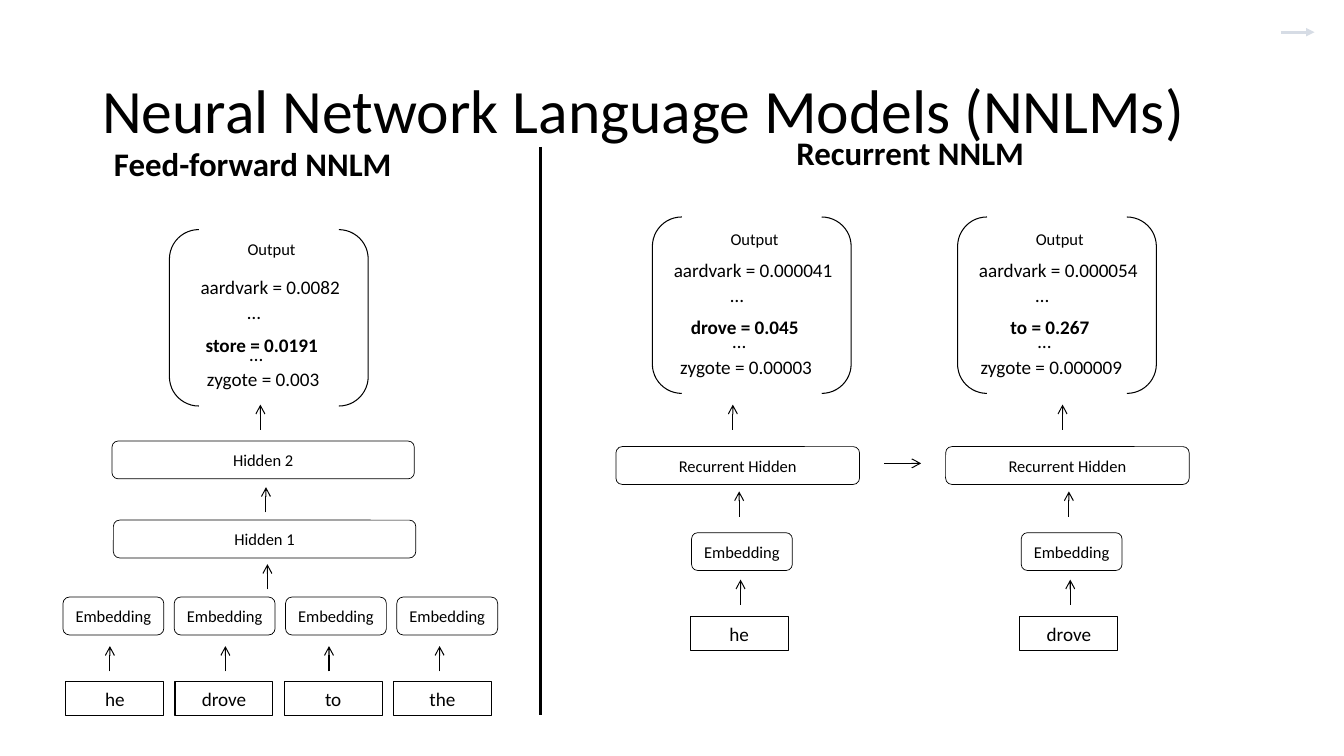
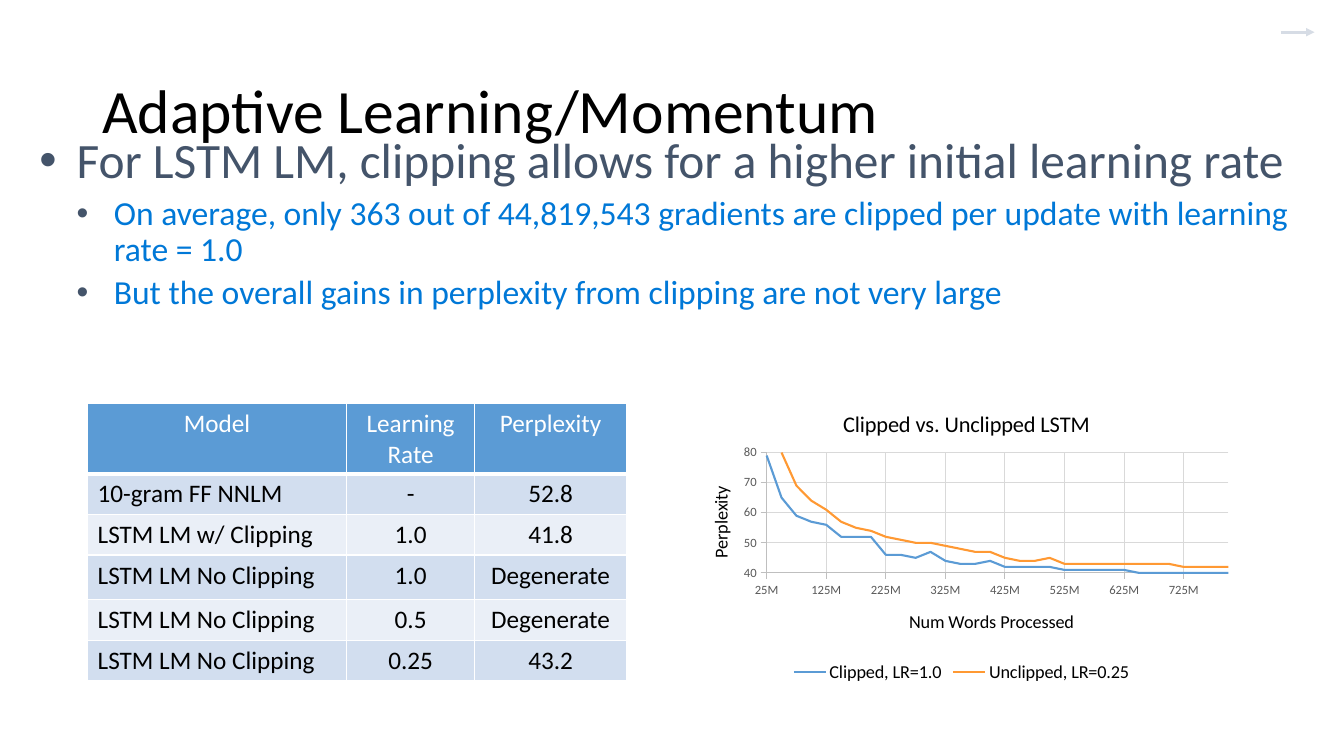
from lxml.etree import SubElement
from pptx import Presentation
from pptx.chart.data import XyChartData
from pptx.dml.color import RGBColor
from pptx.enum.chart import XL_CHART_TYPE, XL_LEGEND_POSITION, XL_MARKER_STYLE, XL_TICK_MARK
from pptx.enum.shapes import MSO_CONNECTOR, MSO_SHAPE
from pptx.enum.text import MSO_ANCHOR, PP_ALIGN
from pptx.oxml.ns import qn
from pptx.util import Pt

FONT = "Calibri"
BLACK, WHITE = "000000", "FFFFFF"
SLATE, BLUE, PALE = "44546A", "0078D7", "D6DCE5"
HEADER, BAND_DARK, BAND_LIGHT = "5B9BD5", "D2DEEF", "EAEFF7"
ORANGE, AXIS, GRID, TICK_TEXT = "FF9933", "BFBFBF", "D9D9D9", "595959"

FF_TOPS = (3, 29, 47, 70.5, 77, 94.5)
RNN_TOPS = (5, 26, 44, 67, 77, 95)
OUTPUT_CENTERS = (73, 72, 60.5, 66, 62, 67)

TABLE_ROWS = [
    ("Model", "Learning\vRate", "Perplexity"),
    ("10-gram FF NNLM", "-", "52.8"),
    ("LSTM LM w/ Clipping", "1.0", "41.8"),
    ("LSTM LM No Clipping", "1.0", "Degenerate"),
    ("LSTM LM No Clipping", "0.5", "Degenerate"),
    ("LSTM LM No Clipping", "0.25", "43.2"),
]
CLIPPED = [200, 79, 65, 59, 57, 56, 52, 52, 52, 46, 46, 45, 47, 44, 43, 43, 44,
           42, 42, 42, 42] + [41] * 5 + [40] * 14
UNCLIPPED = [200, 104, 80, 69, 64, 61, 57, 55, 54, 52, 51, 50, 50, 49, 48, 47, 47,
             45, 44, 44, 45] + [43] * 8 + [42] * 11


def rgb(value):
    return RGBColor.from_string(value)


def style_font(font, size, color=BLACK, bold=False):
    font.name = FONT
    font.size = Pt(size)
    font.bold = bold
    font.color.rgb = rgb(color)


def style_line(line, color, width):
    line.color.rgb = rgb(color)
    line.width = Pt(width)


def write(p, text, size, color=BLACK, bold=False, align=PP_ALIGN.LEFT):
    p.text = text
    p.alignment = align
    for r in p.runs:
        style_font(r.font, size, color, bold)


def text_box(s, x, y, w, h):
    tf = s.shapes.add_textbox(Pt(x), Pt(y), Pt(w), Pt(h)).text_frame
    tf.word_wrap = True
    return tf


def label(s, x, y, w, text, bold=False, size=13.7):
    write(text_box(s, x, y, w, 24).paragraphs[0], text, size, bold=bold, align=PP_ALIGN.CENTER)


def heading(s, x, y, text, align):
    tf = text_box(s, x, y, 301, 48)
    tf.margin_left = tf.margin_right = Pt(14.4)
    tf.margin_top = tf.margin_bottom = Pt(11.5)
    p = tf.paragraphs[0]
    write(p, text, 23.5, bold=True, align=align)
    p.line_spacing = 0.9


def outline(s, kind, x, y, w, h, width=0.75):
    sp = s.shapes.add_shape(kind, Pt(x), Pt(y), Pt(w), Pt(h))
    sp.shadow.inherit = False
    sp.fill.background()
    style_line(sp.line, BLACK, width)
    return sp


def box(s, kind, x, y, w, h, text, size, width):
    tf = outline(s, kind, x, y, w, h, width).text_frame
    tf.vertical_anchor = MSO_ANCHOR.MIDDLE
    tf.margin_top = tf.margin_bottom = 0
    write(tf.paragraphs[0], text, size, align=PP_ALIGN.CENTER)


def word_box(s, x, y, text):
    box(s, MSO_SHAPE.RECTANGLE, x, y, 70, 24, text, 13.7, 0.75)


def layer_box(s, x, y, w, text):
    box(s, MSO_SHAPE.ROUNDED_RECTANGLE, x, y, w, 27, text, 11.8, 0.5)


def line(s, x1, y1, x2, y2, color=BLACK, width=0.75, head=None):
    cn = s.shapes.add_connector(MSO_CONNECTOR.STRAIGHT, Pt(x1), Pt(y1), Pt(x2), Pt(y2))
    style_line(cn.line, color, width)
    if head:
        SubElement(cn.line._get_or_add_ln(), qn("a:tailEnd"), type=head)
    SubElement(cn._element.spPr, qn("a:effectLst"))


def up_arrow(s, x, bottom):
    line(s, x, bottom, x, bottom - 18, head="arrow")


def output_bracket(s, x, y, tops, entries):
    outline(s, MSO_SHAPE.DOUBLE_BRACKET, x, y, 142, 126)
    first, predicted, last = entries
    texts = ("Output", first, "…", predicted, "…", last)
    for text, center, top in zip(texts, OUTPUT_CENTERS, tops):
        size = 11.8 if text == "Output" else 13.7
        label(s, x + center - 68, y + top, 136, text, text == predicted, size)


def feed_forward(s):
    output_bracket(s, 121, 164, FF_TOPS,
                   ("aardvark = 0.0082", "store = 0.0191", "zygote = 0.003"))
    for x, bottom in ((186, 307), (190, 366), (191, 421)):
        up_arrow(s, x, bottom)
    layer_box(s, 80, 315, 216, "Hidden 2")
    layer_box(s, 81, 371.5, 216, "Hidden 1")
    arrow_xs = (78.5, 161, 235, 314)
    for i, (word, arrow_x) in enumerate(zip(("he", "drove", "to", "the"), arrow_xs)):
        layer_box(s, 45 + 79.5 * i, 426.5, 72, "Embedding")
        up_arrow(s, arrow_x, 479.5)
        word_box(s, 47 + 78 * i, 487, word)


def recurrent_step(s, x, bracket_x, word, entries):
    output_bracket(s, bracket_x, 155, RNN_TOPS, entries)
    up_arrow(s, x + 83.5, 307)
    layer_box(s, x, 319, 174, "Recurrent Hidden")
    up_arrow(s, x + 88, 369)
    layer_box(s, x + 54, 380.5, 72, "Embedding")
    up_arrow(s, x + 89, 432)
    word_box(s, x + 53, 440.5, word)


def bullet(p, text, level, size, color):
    write(p, text, size, color)
    p.level = level
    p.line_spacing = 0.9
    pPr = p._p.get_or_add_pPr()
    pPr.set("marL", str(Pt(26.6 * (level + 1))))
    pPr.set("indent", str(-Pt(26.6)))
    SubElement(SubElement(pPr, qn("a:buClr")), qn("a:srgbClr"), val=SLATE)
    SubElement(pPr, qn("a:buFont"), typeface="Arial")
    SubElement(pPr, qn("a:buChar"), char="•")


def bullets(s, items):
    tf = text_box(s, 21, 93.6, 918, 384)
    for i, (text, level, size, color) in enumerate(items):
        p = tf.add_paragraph() if i else tf.paragraphs[0]
        bullet(p, text, level, size, color)
        if i:
            p.space_before = Pt(5)


def cell_borders(cell, bottom):
    tcPr = cell._tc.get_or_add_tcPr()
    for side, width in (("L", 1), ("R", 1), ("T", 1), ("B", bottom)):
        ln = SubElement(tcPr, qn("a:ln" + side), w=str(Pt(width)))
        SubElement(SubElement(ln, qn("a:solidFill")), qn("a:srgbClr"), val=WHITE)


def results_table(s):
    widths, heights = (185, 91.5, 108.5), (50, 29, 29, 32, 28, 29)
    table = s.shapes.add_table(len(heights), len(widths), Pt(62.6), Pt(288),
                               Pt(sum(widths)), Pt(sum(heights))).table
    for column, width in zip(table.columns, widths):
        column.width = Pt(width)
    for i, (row, height, texts) in enumerate(zip(table.rows, heights, TABLE_ROWS)):
        row.height = Pt(height)
        fill = (BAND_DARK if i % 2 else BAND_LIGHT) if i else HEADER
        for j, (cell, text) in enumerate(zip(row.cells, texts)):
            cell_borders(cell, 1 if i else 3)
            cell.fill.solid()
            cell.fill.fore_color.rgb = rgb(fill)
            align = PP_ALIGN.LEFT if i and j == 0 else PP_ALIGN.CENTER
            write(cell.text_frame.paragraphs[0], text, 18, BLACK if i else WHITE, align=align)


def place(element, **position):
    layout = element.find(qn("c:layout"))
    if layout is None:
        layout = element.makeelement(qn("c:layout"))
        element.insert(0 if element.find(qn("c:tx")) is None else 1, layout)
    manual = SubElement(layout, qn("c:manualLayout"))
    if "w" in position:
        SubElement(manual, qn("c:layoutTarget"), val="inner")
    for key in ("x", "y"):
        SubElement(manual, qn(f"c:{key}Mode"), val="edge")
    for key, value in position.items():
        SubElement(manual, qn("c:" + key), val=str(value))


def chart_title(title, text, size, x, y):
    write(title.text_frame.paragraphs[0], text, size, align=None)
    place(title._element, x=x, y=y)


def style_axis(axis, low, high, step, title, x, y):
    axis.minimum_scale, axis.maximum_scale, axis.major_unit = low, high, step
    axis.has_major_gridlines = True
    style_line(axis.major_gridlines.format.line, GRID, 0.75)
    style_line(axis.format.line, AXIS, 0.75)
    axis.major_tick_mark = XL_TICK_MARK.OUTSIDE
    axis.minor_tick_mark = XL_TICK_MARK.NONE
    style_font(axis.tick_labels.font, 9, TICK_TEXT)
    chart_title(axis.axis_title, title, 13, x, y)


def perplexity_chart(s):
    data = XyChartData()
    for name, values in (("Clipped, LR=1.0", CLIPPED), ("Unclipped, LR=0.25", UNCLIPPED)):
        series = data.add_series(name)
        for i, value in enumerate(values):
            series.add_data_point(25 * i, value)
    chart = s.shapes.add_chart(XL_CHART_TYPE.XY_SCATTER_LINES_NO_MARKERS,
                               Pt(488), Pt(276), Pt(397.5), Pt(215), data).chart
    style_font(chart.font, 10)
    chart.has_title = True
    chart_title(chart.chart_title, "Clipped vs. Unclipped LSTM", 16, 0.28, 0.06)
    chart.has_legend = True
    chart.legend.position = XL_LEGEND_POSITION.BOTTOM
    chart.legend.include_in_layout = False
    style_font(chart.legend.font, 13)

    style_axis(chart.category_axis, 25, 800, 100, "Num Words Processed", 0.4, 0.73)
    labels = chart.category_axis.tick_labels
    labels.number_format = '#,###"M"'
    labels.number_format_is_linked = False
    style_axis(chart.value_axis, 40, 80, 10, "Perplexity", 0.04, 0.32)
    body = chart.value_axis.axis_title.text_frame._txBody.bodyPr
    body.set("rot", "-5400000")
    body.set("vert", "horz")

    plot = chart.plots[0]
    plot.vary_by_categories = False
    for series, color in zip(plot.series, (HEADER, ORANGE)):
        series.smooth = False
        series.marker.style = XL_MARKER_STYLE.NONE
        style_line(series.format.line, color, 1.5)
    place(chart._chartSpace.chart.plotArea, x=0.15, y=0.22, w=0.83, h=0.4)


def new_slide(prs, title):
    s = prs.slides.add_slide(prs.slide_layouts[6])
    tf = text_box(s, 66, 29, 828, 104)
    tf.vertical_anchor = MSO_ANCHOR.MIDDLE
    write(tf.paragraphs[0], title, 44)
    tf.paragraphs[0].line_spacing = 0.9
    line(s, 915, 23, 939, 23, PALE, 2, "triangle")
    return s


def main():
    prs = Presentation()
    prs.slide_width, prs.slide_height = Pt(960), Pt(540)

    s = new_slide(prs, "Neural Network Language Models (NNLMs)")
    heading(s, 67, 94.3, "Feed-forward NNLM", PP_ALIGN.LEFT)
    heading(s, 499.7, 86.4, "Recurrent NNLM", PP_ALIGN.CENTER)
    line(s, 386, 105, 386, 510.5, width=2)
    feed_forward(s)
    recurrent_step(s, 440, 466, "he",
                   ("aardvark = 0.000041", "drove = 0.045", "zygote = 0.00003"))
    recurrent_step(s, 675.5, 684, "drove",
                   ("aardvark = 0.000054", "to = 0.267", "zygote = 0.000009"))
    line(s, 631.5, 331, 658, 331, head="arrow")

    s = new_slide(prs, "Adaptive Learning/Momentum")
    bullets(s, [
        ("For LSTM LM, clipping allows for a higher initial learning rate", 0, 35.3, SLATE),
        ("On average, only 363 out of 44,819,543 gradients are clipped per update "
         "with learning rate = 1.0", 1, 24, BLUE),
        ("But the overall gains in perplexity from clipping are not very large", 1, 24, BLUE),
    ])
    results_table(s)
    perplexity_chart(s)

    prs.save("out.pptx")


if __name__ == "__main__":
    main()
